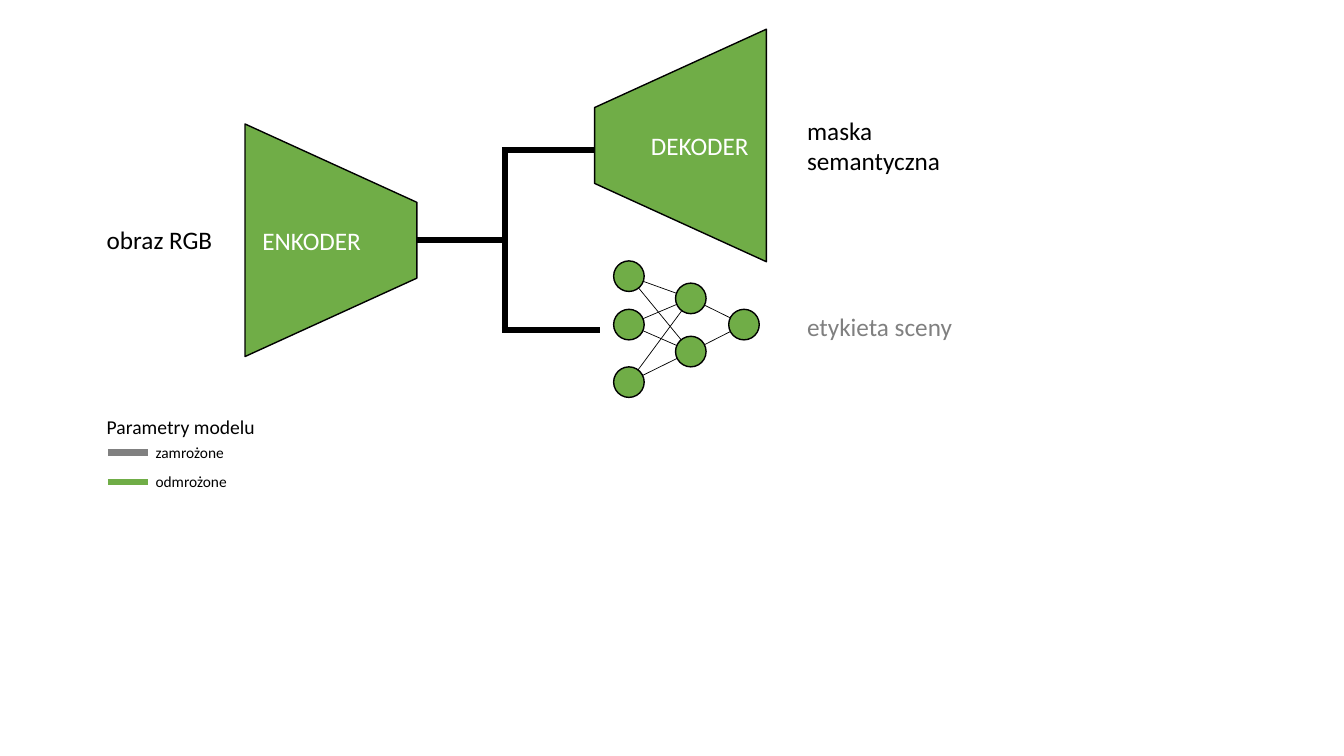
from itertools import pairwise, product

from lxml.etree import SubElement
from pptx import Presentation
from pptx.dml.color import RGBColor
from pptx.enum.shapes import MSO_CONNECTOR, MSO_SHAPE
from pptx.enum.text import MSO_ANCHOR, MSO_AUTO_SIZE, PP_ALIGN
from pptx.oxml.ns import qn
from pptx.util import Cm, Pt

BLACK, WHITE, GREEN, GRAY = "000000", "FFFFFF", "70AD47", "808080"
color = RGBColor.from_string


def add_line(shapes, x1, y1, x2, y2, width, line_color=BLACK):
    line = shapes.add_connector(MSO_CONNECTOR.STRAIGHT, Cm(x1), Cm(y1), Cm(x2), Cm(y2))
    line.line.width = Pt(width)
    line.line.color.rgb = color(line_color)
    SubElement(line._element.spPr, qn("a:effectLst"))


def add_label(shapes, text, left, top, width, height, size, text_color=BLACK):
    label = shapes.add_textbox(Cm(left), Cm(top), Cm(width), Cm(height))
    frame = label.text_frame
    frame.text = text
    frame.word_wrap = False
    frame.auto_size = MSO_AUTO_SIZE.SHAPE_TO_FIT_TEXT
    for paragraph in frame.paragraphs:
        paragraph.font.name = "Calibri"
        paragraph.font.size = Pt(size)
        paragraph.font.color.rgb = color(text_color)


presentation = Presentation()
presentation.slide_width = Cm(33.87)
presentation.slide_height = Cm(19.05)
slide = presentation.slides.add_slide(presentation.slide_layouts[6])

# Classifier connections, each neuron to all neurons of the next layer
layers = [
    [(15.85, 6.96), (15.85, 8.18), (15.85, 9.63)],
    [(17.41, 7.52), (17.41, 8.86)],
    [(18.75, 8.18)],
]
connections = slide.shapes.add_group_shape().shapes
for layer, next_layer in pairwise(layers):
    for start, end in product(layer, next_layer):
        add_line(connections, *start, *end, 0.5)

# Fork from the encoder to both heads
fork = slide.shapes.add_group_shape().shapes
for left, y in [(10.31, 6.05), (12.65, 3.78), (12.65, 8.31)]:
    add_line(fork, left, y, left + 2.47, y, 4.5)
add_line(fork, 12.73, 3.76, 12.73, 8.36, 4.5)

# Encoder and decoder, rotated with upright text
for name, left, top, rotation, text_direction in [
    ("ENKODER", 5.41, 3.89, 90, "vert270"),
    ("DEKODER", 14.22, 1.5, 270, "vert"),
]:
    block = slide.shapes.add_shape(MSO_SHAPE.TRAPEZOID, Cm(left), Cm(top), Cm(5.86), Cm(4.33))
    block.adjustments[0] = 0.456
    block.rotation = rotation
    block.shadow.inherit = False
    block.fill.solid()
    block.fill.fore_color.rgb = color(GREEN)
    block.line.color.rgb = color(BLACK)
    block.line.width = Pt(1)
    frame = block.text_frame
    frame.text = name
    frame.vertical_anchor = MSO_ANCHOR.MIDDLE
    frame._txBody.bodyPr.set("vert", text_direction)
    paragraph = frame.paragraphs[0]
    paragraph.alignment = PP_ALIGN.CENTER
    paragraph.font.name = "Calibri"
    paragraph.font.size = Pt(18)
    paragraph.font.color.rgb = color(WHITE)

# Classifier neurons
neurons = slide.shapes.add_group_shape().shapes
diameter = 0.77
for layer in layers:
    for x, y in layer:
        neuron = neurons.add_shape(
            MSO_SHAPE.OVAL, Cm(x - diameter / 2), Cm(y - diameter / 2), Cm(diameter), Cm(diameter)
        )
        neuron.shadow.inherit = False
        neuron.fill.solid()
        neuron.fill.fore_color.rgb = color(GREEN)
        neuron.line.color.rgb = color(BLACK)
        neuron.line.width = Pt(1)

# Input and output labels
add_label(slide.shapes, "maska\nsemantyczna", 20.09, 2.77, 3.91, 1.8, 18)
add_label(slide.shapes, "etykieta sceny", 20.09, 7.72, 4.22, 1.03, 18, GRAY)
add_label(slide.shapes, "obraz RGB", 2.44, 5.54, 3.2, 1.03, 18)

# Legend
legend = slide.shapes.add_group_shape().shapes
add_label(legend, "Parametry modelu", 2.44, 10.34, 4.29, 0.86, 14)
for state, y, width, state_color in [
    ("zamrożone", 11.4, 2.26, GRAY),
    ("odmrożone", 12.14, 2.34, GREEN),
]:
    add_line(legend, 2.72, y, 3.74, y, 4.5, state_color)
    add_label(legend, state, 3.67, y - 0.36, width, 0.73, 11)

presentation.save("out.pptx")
